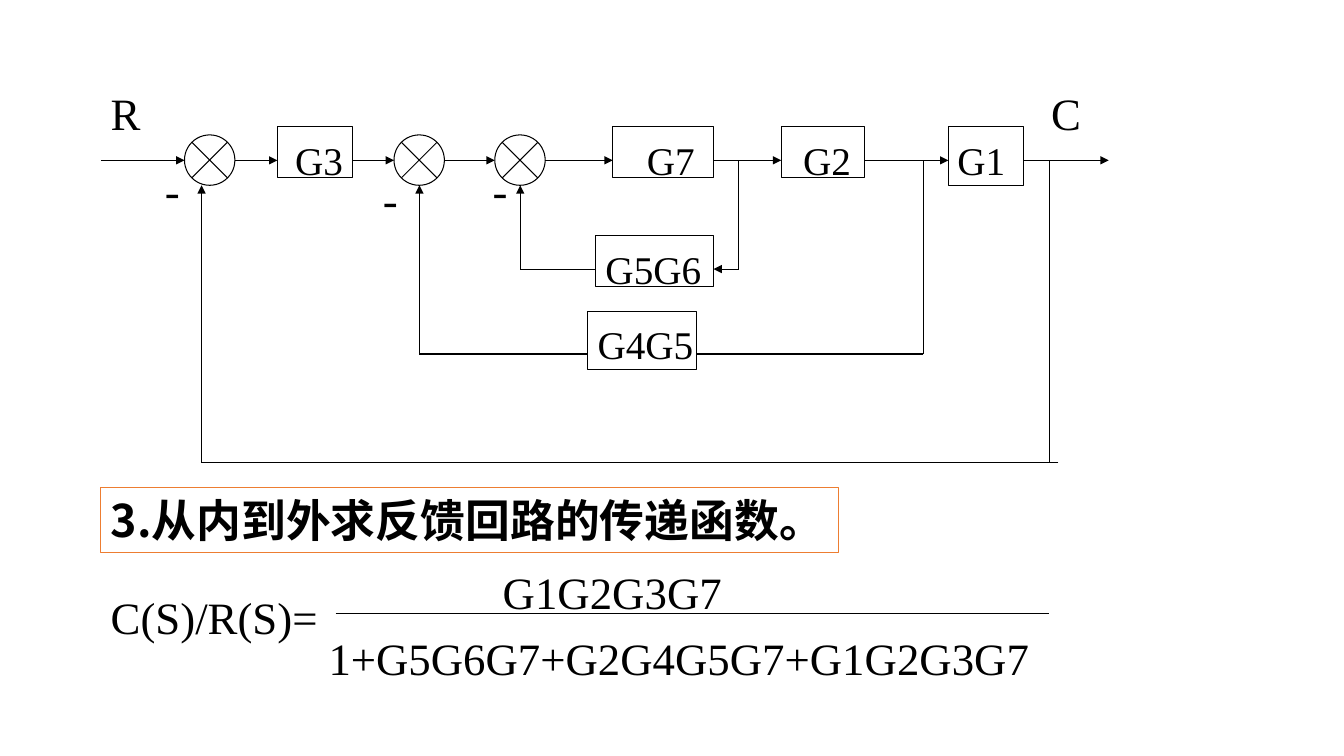
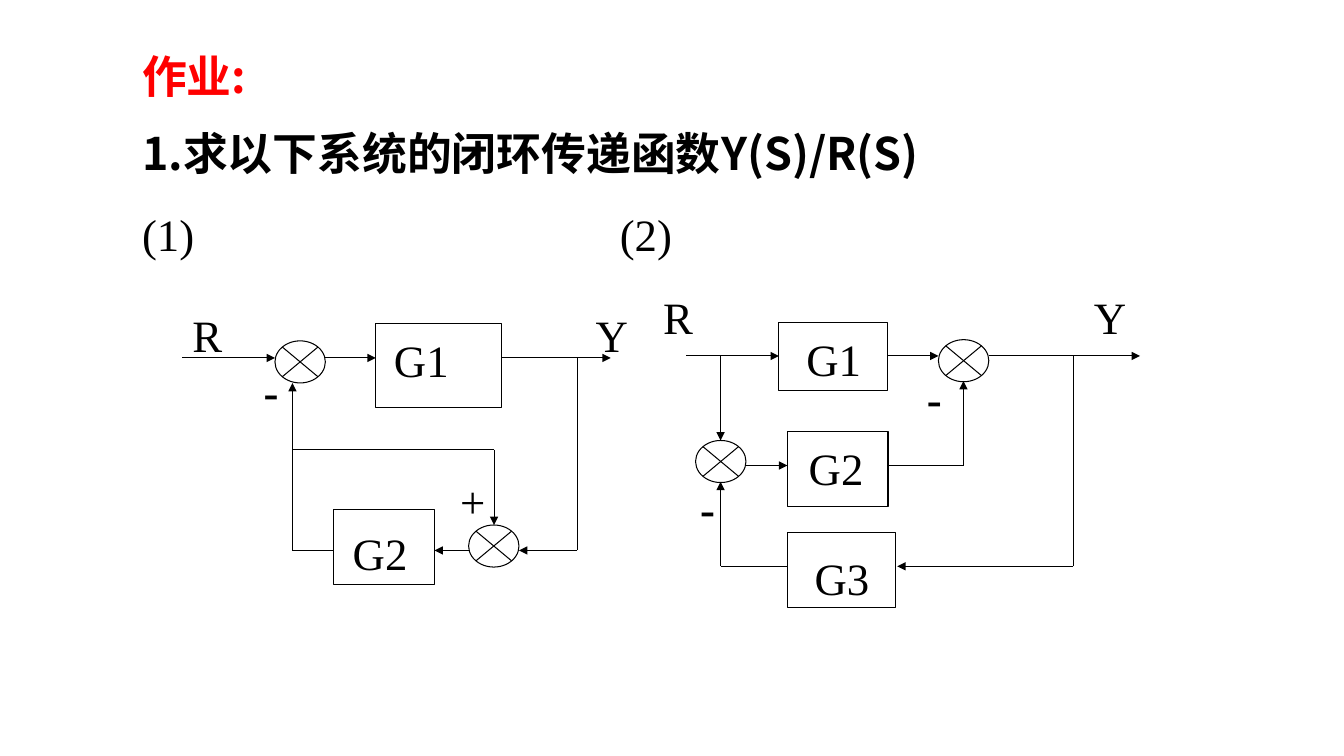
from dataclasses import dataclass
from itertools import pairwise

from lxml.etree import SubElement
from pptx import Presentation
from pptx.dml.color import RGBColor
from pptx.enum.shapes import MSO_CONNECTOR, MSO_SHAPE
from pptx.enum.text import MSO_ANCHOR, PP_ALIGN
from pptx.oxml.ns import qn
from pptx.presentation import Presentation as Deck
from pptx.shapes.autoshape import Shape
from pptx.slide import Slide
from pptx.util import Cm, Pt


@dataclass(frozen=True)
class Theme:
    black: RGBColor = RGBColor(0x00, 0x00, 0x00)
    white: RGBColor = RGBColor(0xFF, 0xFF, 0xFF)
    red: RGBColor = RGBColor(0xFF, 0x00, 0x00)
    orange: RGBColor = RGBColor(0xED, 0x7D, 0x31)
    symbol_font: str = "Times New Roman"
    heading_font: str = "Noto Sans CJK SC"
    large: int = 32
    medium: int = 28
    line_width: float = 0.75
    inset_left: float = 0.25
    inset_top: float = 0.23


THEME = Theme()
Point = tuple[float, float]


@dataclass(frozen=True)
class Block:
    """A transfer function box; indent and drop place its name inside."""
    name: str
    left: float
    top: float
    width: float
    height: float
    indent: float
    drop: float = THEME.inset_top


@dataclass(frozen=True)
class Junction:
    left: float
    top: float
    height: float = 1.06
    width: float = 1.27


@dataclass(frozen=True)
class Wire:
    points: tuple[Point, ...]
    arrow: bool = True


@dataclass(frozen=True)
class Label:
    text: str
    left: float
    top: float
    width: float = 1.9
    height: float = 1.6


@dataclass(frozen=True)
class Sign:
    text: str
    left: float
    top: float
    height: float = 0.84
    bold: bool = True


@dataclass(frozen=True)
class Diagram:
    blocks: tuple[Block, ...]
    junctions: tuple[Junction, ...]
    wires: tuple[Wire, ...]
    labels: tuple[Label, ...]
    signs: tuple[Sign, ...]


def forward_wires(height: float, *spans: Point) -> tuple[Wire, ...]:
    """Arrows along one level, each given by its start and end."""
    return tuple(Wire(((start, height), (end, height))) for start, end in spans)


MAIN_DIAGRAM = Diagram(
    blocks=(
        Block("G3", 6.99, 3.2, 1.9, 1.27, 0.45),
        Block("G7", 15.44, 3.2, 2.54, 1.27, 0.86),
        Block("G2", 19.69, 3.2, 2.1, 1.27, 0.55),
        Block("G1", 23.9, 3.2, 1.9, 1.47, 0.23),
        Block("G5G6", 15.01, 5.94, 2.97, 1.27, 0.25),
        Block("G4G5", 14.81, 7.85, 2.74, 1.47, 0.25),
    ),
    junctions=tuple(Junction(left, 3.4, 1.27) for left in (4.65, 9.93, 12.47)),
    wires=forward_wires(
        4.04, (2.54, 4.65), (5.92, 6.99), (8.89, 9.93), (11.2, 12.47),
        (13.74, 15.44), (17.98, 19.69), (21.79, 23.9), (25.81, 27.94),
    ) + (
        Wire(((18.62, 4.04), (18.62, 6.78), (17.98, 6.78))),
        Wire(((15.01, 6.78), (13.11, 6.78), (13.11, 4.67))),
        Wire(((23.27, 4.04), (23.27, 8.92), (17.55, 8.92)), arrow=False),
        Wire(((14.81, 8.92), (10.57, 8.92), (10.57, 4.67))),
        Wire(((26.44, 4.04), (26.44, 11.66)), arrow=False),
        Wire(((26.67, 11.66), (5.08, 11.66), (5.08, 4.67))),
    ),
    labels=(Label("R", 2.54, 1.93), Label("C", 26.24, 1.93)),
    signs=tuple(Sign("-", left, top, 1.07, bold=False)
                for left, top in ((3.81, 4.24), (12.07, 4.24), (9.3, 4.47))),
)

CLOSED_LOOP_FRACTION = Diagram(
    blocks=(),
    junctions=(),
    wires=(Wire(((8.46, 15.47), (26.44, 15.47)), arrow=False),),
    labels=(
        Label("C(S)/R(S)=", 2.54, 14.63, 6),
        Label("G1G2G3G7", 12.42, 14, 7),
        Label("1+G5G6G7+G2G4G5G7+G1G2G3G7", 8.03, 15.67, 18.62),
    ),
    signs=(),
)

FIRST_EXERCISE = Diagram(
    blocks=(
        Block("G1", 9.47, 8.15, 3.18, 2.11, 0.46),
        Block("G2", 8.41, 12.83, 2.54, 1.9, 0.48, 0.43),
    ),
    junctions=(Junction(6.93, 8.59), Junction(11.81, 13.23)),
    wires=forward_wires(9.02, (4.6, 6.93), (8.2, 9.47), (12.65, 15.39)) + (
        Wire(((14.55, 9.02), (14.55, 13.87), (13.08, 13.87))),
        Wire(((11.81, 13.87), (10.95, 13.87))),
        Wire(((8.41, 13.87), (7.37, 13.87), (7.37, 9.65))),
        Wire(((7.37, 11.33), (12.45, 11.33), (12.45, 13.23))),
    ),
    labels=(Label("(1)", 3.33, 4.97), Label("R", 4.6, 7.52), Label("Y", 14.76, 7.52)),
    signs=(Sign("+", 11.38, 12.19, bold=False), Sign("-", 6.3, 9.42)),
)

SECOND_EXERCISE = Diagram(
    blocks=(
        Block("G1", 19.63, 8.13, 2.74, 1.7, 0.69),
        Block("G2", 19.84, 10.87, 2.54, 1.9, 0.54),
        Block("G3", 19.84, 13.41, 2.74, 1.9, 0.69, 0.46),
    ),
    junctions=(Junction(17.53, 11.1), Junction(23.65, 8.56)),
    wires=forward_wires(8.97, (17.3, 19.63), (22.38, 23.65), (24.92, 28.73)) + (
        Wire(((18.16, 8.97), (18.16, 11.1))),
        Wire(((18.8, 11.73), (19.84, 11.73))),
        Wire(((22.38, 11.73), (24.28, 11.73), (24.28, 9.6))),
        Wire(((27.05, 8.97), (27.05, 14.27), (22.61, 14.27))),
        Wire(((19.84, 14.27), (18.16, 14.27), (18.16, 12.14))),
    ),
    labels=(Label("(2)", 15.37, 4.97), Label("R", 16.46, 7.06), Label("Y", 27.32, 7.06)),
    signs=(Sign("-", 23.01, 9.6), Sign("-", 17.3, 12.37)),
)


def write(box: Shape, text: str, size: int = THEME.large, *,
          font: str = THEME.symbol_font, color: RGBColor = THEME.black,
          bold: bool = False, left: float = THEME.inset_left, top: float = 0,
          align: PP_ALIGN = PP_ALIGN.LEFT,
          anchor: MSO_ANCHOR = MSO_ANCHOR.TOP) -> None:
    frame = box.text_frame
    frame.text = text
    frame.word_wrap = True
    frame.vertical_anchor = anchor
    frame.margin_left, frame.margin_top = Cm(left), Cm(top)
    frame.margin_right = frame.margin_bottom = 0
    para = frame.paragraphs[0]
    para.alignment = align
    para.line_spacing = 1.0
    for span in para.runs:
        span.font.size = Pt(size)
        span.font.bold = bold
        span.font.color.rgb = color
        span.font.name = font
        SubElement(span.font._element, qn("a:ea"), typeface=font)


def add_outline(slide: Slide, kind: MSO_SHAPE, item: Block | Junction) -> Shape:
    shape = slide.shapes.add_shape(
        kind, Cm(item.left), Cm(item.top), Cm(item.width), Cm(item.height))
    shape.shadow.inherit = False
    shape.fill.background()
    shape.line.color.rgb = THEME.black
    shape.line.width = Pt(THEME.line_width)
    return shape


def add_text_box(slide: Slide, left: float, top: float, width: float, height: float) -> Shape:
    return slide.shapes.add_textbox(Cm(left), Cm(top), Cm(width), Cm(height))


def add_wire(slide: Slide, wire: Wire) -> None:
    """Joins the points by straight lines; an arrowhead ends the last."""
    for start, end in pairwise(wire.points):
        line = slide.shapes.add_connector(
            MSO_CONNECTOR.STRAIGHT, *map(Cm, start), *map(Cm, end))
        line.line.color.rgb = THEME.black
        line.line.width = Pt(THEME.line_width)
        if wire.arrow and end == wire.points[-1]:
            SubElement(line.line._get_or_add_ln(), qn("a:tailEnd"), type="triangle")
        SubElement(line._element.spPr, qn("a:effectLst"))


def add_diagram(slide: Slide, diagram: Diagram, block_size: int = THEME.large) -> None:
    for wire in diagram.wires:
        add_wire(slide, wire)
    for block in diagram.blocks:
        shape = add_outline(slide, MSO_SHAPE.RECTANGLE, block)
        write(shape, block.name, block_size, left=block.indent, top=block.drop)
    for junction in diagram.junctions:
        add_outline(slide, MSO_SHAPE.FLOWCHART_SUMMING_JUNCTION, junction)
    for label in diagram.labels:
        box = add_text_box(slide, label.left, label.top, label.width, label.height)
        write(box, label.text, top=THEME.inset_top)
    for sign in diagram.signs:
        box = add_text_box(slide, sign.left, sign.top, 1.07, sign.height)
        write(box, sign.text, bold=sign.bold, left=0,
              align=PP_ALIGN.CENTER, anchor=MSO_ANCHOR.MIDDLE)


def write_heading(box: Shape, text: str, color: RGBColor = THEME.black) -> None:
    write(box, text, font=THEME.heading_font, color=color, bold=True,
          anchor=MSO_ANCHOR.MIDDLE)


def add_titled_slide(deck: Deck, text: str, left: float, top: float, width: float,
                     color: RGBColor = THEME.black) -> Slide:
    slide = deck.slides.add_slide(deck.slide_layouts.get_by_name("Title Only"))
    title = slide.shapes.title
    title.left, title.top = Cm(left), Cm(top)
    title.width, title.height = Cm(width), Cm(1.63)
    write_heading(title, text, color)
    return slide


def build_reduction_slide(deck: Deck) -> None:
    slide = add_titled_slide(deck, "3.从内到外求反馈回路的传递函数。", 2.54, 12.29, 18.59)
    title = slide.shapes.title
    title.fill.solid()
    title.fill.fore_color.rgb = THEME.white
    title.line.color.rgb = THEME.orange
    title.line.width = Pt(1)
    add_diagram(slide, MAIN_DIAGRAM, THEME.medium)
    add_diagram(slide, CLOSED_LOOP_FRACTION)


def build_homework_slide(deck: Deck) -> None:
    slide = add_titled_slide(deck, "作业:", 3.33, 1.09, 25.4, THEME.red)
    task = add_text_box(slide, 3.33, 3.03, 25.4, 1.63)
    write_heading(task, "1.求以下系统的闭环传递函数Y(S)/R(S)")
    for exercise in (FIRST_EXERCISE, SECOND_EXERCISE):
        add_diagram(slide, exercise)


def main() -> None:
    deck = Presentation()
    deck.slide_width, deck.slide_height = Cm(33.87), Cm(19.05)
    build_reduction_slide(deck)
    build_homework_slide(deck)
    deck.save("out.pptx")


if __name__ == "__main__":
    main()
